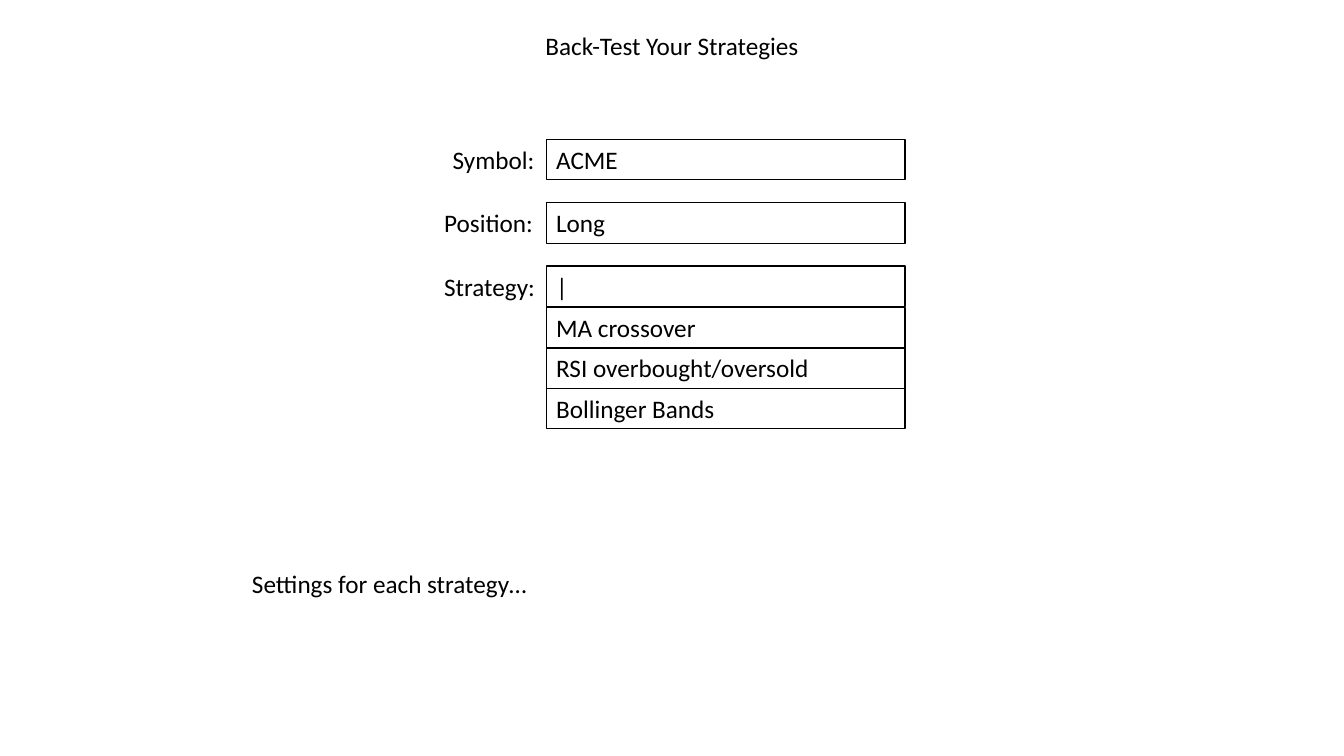
import pptx
import pptx.util
import pptx.dml.color
import pptx.enum.shapes
import pptx.enum.text

Pt = pptx.util.Pt
Align = pptx.enum.text.PP_ALIGN
LEFT, WIDE, HIGH = 390.2, 256.3, 29.1
TOP, STEP = 99.4, 45.3
LIST, ROW = 219.5, 28.9
FIELDS = [("Symbol:", "ACME", 74), ("Position:", "Long", 80), ("Strategy:", "|", 80)]
CHOICES = ["MA crossover", "RSI overbought/oversold", "Bollinger Bands"]


def color(code):
    return pptx.dml.color.RGBColor.from_string(code)


def write(shape, text, align):
    frame = shape.text_frame
    frame.word_wrap = True
    frame.auto_size = pptx.enum.text.MSO_AUTO_SIZE.SHAPE_TO_FIT_TEXT
    frame.vertical_anchor = pptx.enum.text.MSO_ANCHOR.TOP
    para = frame.paragraphs[0]
    para.text = text
    para.alignment = align
    para.font.name = "Calibri"
    para.font.size = Pt(18)
    para.font.color.rgb = color("000000")


def label(slide, text, left, top, width, align=Align.LEFT):
    box = slide.shapes.add_textbox(Pt(left), Pt(top), Pt(width), Pt(HIGH))
    write(box, text, align)


def field(slide, text, top):
    kind = pptx.enum.shapes.MSO_SHAPE.RECTANGLE
    box = slide.shapes.add_shape(kind, Pt(LEFT), Pt(top), Pt(WIDE), Pt(HIGH))
    box.shadow.inherit = False
    box.fill.background()
    box.line.color.rgb = color("000000")
    box.line.width = Pt(0.75)
    write(box, text, Align.LEFT)


def main():
    deck = pptx.Presentation()
    deck.slide_width, deck.slide_height = Pt(960), Pt(540)
    slide = deck.slides.add_slide(deck.slide_layouts[6])
    label(slide, "Back-Test Your Strategies", 345.6, 18, 268.8, Align.CENTER)
    for i, (name, value, width) in enumerate(FIELDS):
        top = TOP + i * STEP
        label(slide, name, LEFT - width, top, width)
        field(slide, value, top)
    for i, choice in enumerate(CHOICES):
        field(slide, choice, LIST + i * ROW)
    label(slide, "Settings for each strategy…", 150, 402.5, WIDE, Align.CENTER)
    deck.save("out.pptx")


if __name__ == "__main__":
    main()
